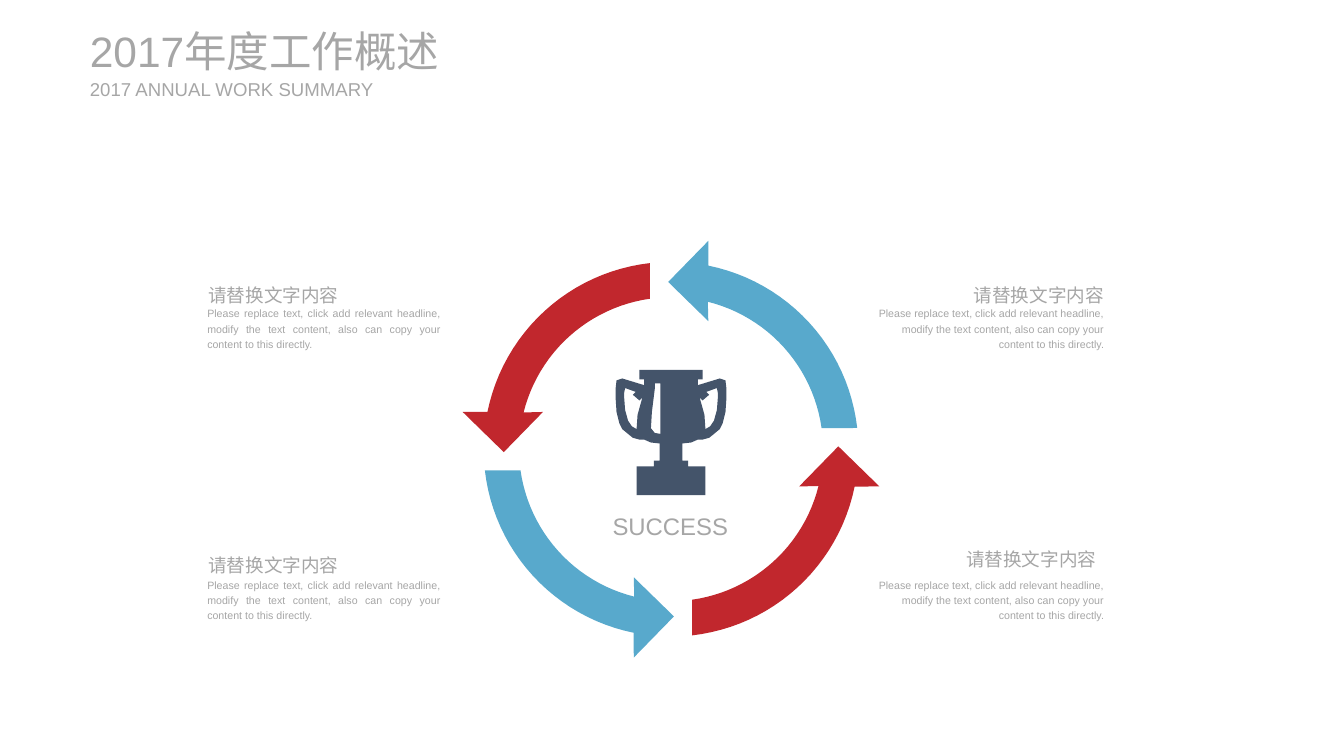
from math import cos, radians, sin

from pptx import Presentation
from pptx.dml.color import RGBColor
from pptx.enum.text import MSO_ANCHOR, MSO_AUTO_SIZE, PP_ALIGN
from pptx.util import Inches, Pt

COLORS = {"blue": "58A9CC", "red": "C1272D", "navy": "44546A", "grey": "A6A6A6"}
FONT = "Arial"
WIDTH, HEIGHT = 14.06, 7.91
CENTER = (7.02, 4.70)

TITLE = "2017年度工作概述"
SUBTITLE = "2017 ANNUAL WORK SUMMARY"
CAPTION = "SUCCESS"
HEADLINE = "请替换文字内容"
BODY = ("Please replace text, click add relevant headline, modify the text "
        "content, also can copy your content to this directly.")

LEFT, RIGHT, JUSTIFY = PP_ALIGN.LEFT, PP_ALIGN.RIGHT, PP_ALIGN.JUSTIFY
# headline left, headline top, body left, body top, body width, alignments
BLOCKS = [
    (2.08, 2.88, 2.07, 3.14, 2.64, LEFT, JUSTIFY),
    (2.08, 5.70, 2.07, 5.98, 2.64, LEFT, JUSTIFY),
    (9.99, 5.64, 9.08, 5.98, 2.57, RIGHT, RIGHT),
    (10.07, 2.88, 9.08, 3.14, 2.57, RIGHT, RIGHT),
]

# Arrow ring: radius, tail angle and neck angle of each edge
OUTER_ARC = (1.96, 6.5, 78.5)
INNER_ARC = (1.59, 8, 76)
ARROW_HEAD = [(0.39, -1.34), (-0.03, -1.75), (0.39, -2.18)]
ARC_STEPS = 24
ARROW_COLORS = ["blue", "red", "blue", "red"]

# Left half of the trophy, from the rim down to the base
CUP_HALF = [
    (6.69, 3.87), (6.69, 3.97), (6.74, 3.97), (6.74, 4.03), (6.51, 3.96),
    (6.45, 3.98), (6.44, 4.07), (6.44, 4.16), (6.45, 4.31), (6.48, 4.43),
    (6.51, 4.49), (6.57, 4.54), (6.62, 4.58), (6.69, 4.60), (6.74, 4.60),
    (6.81, 4.63), (6.90, 4.64), (6.90, 4.82), (6.84, 4.82), (6.84, 4.88),
    (6.66, 4.88), (6.66, 5.18),
]
HANDLE_HOLE = [
    (6.72, 4.16), (6.67, 4.34), (6.66, 4.49), (6.61, 4.46), (6.57, 4.40),
    (6.54, 4.29), (6.53, 4.16), (6.53, 4.11), (6.54, 4.06), (6.65, 4.10),
    (6.62, 4.13), (6.69, 4.19),
]
GLEAM = [(6.91, 4.01), (6.91, 4.54), (6.85, 4.53), (6.81, 4.48),
         (6.82, 4.31), (6.85, 4.07), (6.85, 4.01)]


def rgb(name):
    return RGBColor.from_string(COLORS[name])


def write(shape, text, size, align=LEFT, spacing=None):
    tf = shape.text_frame
    tf.text = text
    p = tf.paragraphs[0]
    p.alignment = align
    p.line_spacing = spacing
    font = p.runs[0].font
    font.name, font.size = FONT, Pt(size)
    font.color.rgb = rgb("grey")


def add_text(slide, box, text, size, align, wrap):
    sp = slide.shapes.add_textbox(*map(Inches, box))
    sp.text_frame.word_wrap = wrap
    write(sp, text, size, align, 1.2)


def place_heading(sp, box, text, size):
    sp.left, sp.top, sp.width, sp.height = map(Inches, box)
    tf = sp.text_frame
    tf.margin_left = tf.margin_right = tf.margin_top = tf.margin_bottom = 0
    tf.vertical_anchor = MSO_ANCHOR.MIDDLE
    tf.auto_size = MSO_AUTO_SIZE.NONE
    tf.word_wrap = True
    write(sp, text, size)
    tf.paragraphs[0].space_before = Pt(0)


def add_outline(slide, contours, color):
    """Draw closed contours as one shape; inner contours become holes."""
    first, *holes = [[(Inches(x), Inches(y)) for x, y in c] for c in contours]
    fb = slide.shapes.build_freeform(*first[0])
    fb.add_line_segments(first[1:], close=True)
    for hole in holes:
        fb.move_to(*hole[0])
        fb.add_line_segments(hole[1:], close=True)
    sp = fb.convert_to_shape()
    sp.shadow.inherit = False
    sp.fill.solid()
    sp.fill.fore_color.rgb = rgb(color)
    sp.line.fill.background()


def arc(radius, start, end):
    angles = [radians(start + (end - start) * i / ARC_STEPS)
              for i in range(ARC_STEPS + 1)]
    return [(radius * cos(a), -radius * sin(a)) for a in angles]


def turn(points, quarters):
    """Turn points clockwise by quarter turns and move them to the ring centre."""
    for _ in range(quarters):
        points = [(-y, x) for x, y in points]
    return [(CENTER[0] + x, CENTER[1] + y) for x, y in points]


def mirror(points):
    return [(2 * CENTER[0] - x, y) for x, y in reversed(points)]


def main():
    prs = Presentation()
    prs.slide_width, prs.slide_height = Inches(WIDTH), Inches(HEIGHT)
    slide = prs.slides.add_slide(prs.slide_layouts[0])

    place_heading(slide.shapes.title, (0.94, 0.26, 4.32, 0.54), TITLE, 32)
    place_heading(slide.placeholders[1], (0.94, 0.81, 3.07, 0.24), SUBTITLE, 14)

    arrow = arc(*INNER_ARC) + ARROW_HEAD + arc(*OUTER_ARC)[::-1]
    for quarters, color in enumerate(ARROW_COLORS):
        add_outline(slide, [turn(arrow, quarters)], color)

    cup = CUP_HALF + mirror(CUP_HALF)
    add_outline(slide, [cup, HANDLE_HOLE, mirror(HANDLE_HOLE), GLEAM], "navy")
    add_text(slide, (6.31, 5.24, 1.42, 0.43), CAPTION, 18, JUSTIFY, False)

    for head_x, head_y, body_x, body_y, body_w, head_al, body_al in BLOCKS:
        add_text(slide, (head_x, head_y, 1.58, 0.36), HEADLINE, 14, head_al, False)
        add_text(slide, (body_x, body_y, body_w, 0.57), BODY, 8, body_al, True)

    prs.save("out.pptx")


if __name__ == "__main__":
    main()
